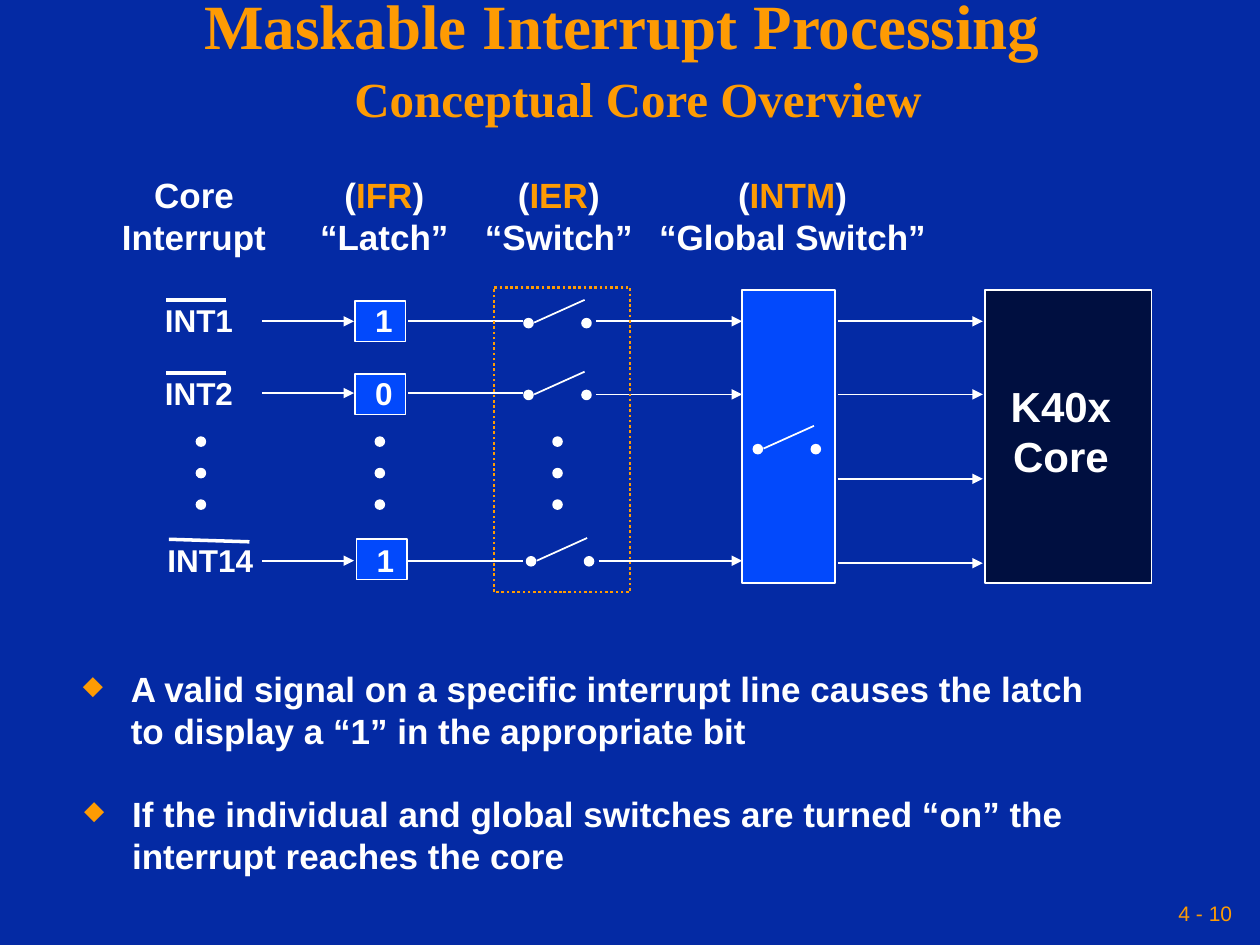
from dataclasses import dataclass
from lxml.etree import SubElement
from pptx import Presentation
from pptx.dml.color import RGBColor
from pptx.enum.dml import MSO_LINE
from pptx.enum.shapes import MSO_CONNECTOR, MSO_SHAPE
from pptx.enum.text import MSO_ANCHOR, MSO_AUTO_SIZE, PP_ALIGN
from pptx.oxml.ns import qn
from pptx.util import Inches, Pt


@dataclass(frozen=True)
class Theme:
    """Colours, fonts and type sizes of the slide."""
    back: str = "042AA4"
    orange: str = "FE9B03"
    white: str = "FFFFFF"
    blue: str = "0249FC"
    navy: str = "000F40"
    sans: str = "Arial"
    serif: str = "Times New Roman"
    title: int = 36
    subtitle: int = 28
    core: int = 24
    body: int = 20
    label: int = 18
    footer: int = 12


T = Theme()
DOT = 0.07


def rgb(value):
    """Turn a hex string into a colour."""
    return RGBColor.from_string(value)


def add_run(p, text, size, color=T.white, font=T.sans, bold=True):
    """Add one formatted run to a paragraph."""
    r = p.add_run()
    r.text = text
    r.font.size, r.font.name, r.font.bold = Pt(size), font, bold
    r.font.color.rgb = rgb(color)


def add_break(p, size):
    """Add a line break of a given type size."""
    p.add_line_break()
    SubElement(p._p[-1], qn("a:rPr"), sz=str(size * 100))


def add_text(s, x, y, w, h, lines, size, align=PP_ALIGN.LEFT, wrap=False, spacing=None):
    """Add a text box; each line is a list of (text, colour) runs."""
    tf = s.shapes.add_textbox(Inches(x), Inches(y), Inches(w), Inches(h)).text_frame
    tf.word_wrap = wrap
    tf.auto_size = MSO_AUTO_SIZE.NONE if wrap else MSO_AUTO_SIZE.SHAPE_TO_FIT_TEXT
    for i, line in enumerate(lines):
        p = tf.add_paragraph() if i else tf.paragraphs[0]
        p.alignment, p.line_spacing = align, spacing
        for text, color in line:
            add_run(p, text, size, color)
    return tf


def add_label(s, x, y, w, text):
    """Add a tightly spaced diagram label."""
    add_text(s, x, y, w, 0.34, [[(text, T.white)]], T.label, spacing=0.8)


def add_box(s, x, y, w, h, fill=None, line=T.white, width=1, kind=MSO_SHAPE.RECTANGLE):
    """Add an outlined shape, hollow when no fill is given."""
    sp = s.shapes.add_shape(kind, Inches(x), Inches(y), Inches(w), Inches(h))
    sp.shadow.inherit = False
    if fill:
        sp.fill.solid()
        sp.fill.fore_color.rgb = rgb(fill)
    else:
        sp.fill.background()
    sp.line.color.rgb, sp.line.width = rgb(line), Pt(width)
    return sp


def add_dot(s, x, y):
    """Add a small white dot."""
    add_box(s, x, y, DOT, DOT, T.white, kind=MSO_SHAPE.OVAL)


def add_line(s, x1, y1, x2, y2, width=1, arrow=False):
    """Add a white line with an optional arrowhead at its end."""
    c = s.shapes.add_connector(MSO_CONNECTOR.STRAIGHT, Inches(x1), Inches(y1), Inches(x2), Inches(y2))
    c.line.color.rgb, c.line.width = rgb(T.white), Pt(width)
    if arrow:
        SubElement(c.line._get_or_add_ln(), qn("a:tailEnd"), type="triangle")
    SubElement(c._element.spPr, qn("a:effectLst"))


def add_switch(s, x, y):
    """Add an open switch whose left contact is at x, y."""
    add_line(s, x + 0.08, y + 0.03, x + 0.48, y - 0.15)
    add_dot(s, x, y)
    add_dot(s, x + 0.46, y)


def add_bullet(s, x, y, w, lines, wrap):
    """Add a diamond bullet with its lines of text."""
    tf = add_text(s, x, y, w, 0.76, [[]], T.body, wrap=wrap)
    p = tf.paragraphs[0]
    pPr = p._p.get_or_add_pPr()
    pPr.set("marL", str(Inches(0.38)))
    pPr.set("indent", str(Inches(-0.38)))
    SubElement(SubElement(pPr, qn("a:buClr")), qn("a:srgbClr"), val=T.orange)
    SubElement(pPr, qn("a:buSzPct"), val="75000")
    SubElement(pPr, qn("a:buChar"), char="◆")
    for i, line in enumerate(lines):
        if i:
            add_break(p, T.body)
        add_run(p, line, T.body)


def add_title(s):
    """Place and fill the title placeholder."""
    sp = s.shapes.title
    sp.left, sp.top, sp.width, sp.height = 0, 0, Inches(10), Inches(1)
    tf = sp.text_frame
    tf.auto_size, tf.vertical_anchor = MSO_AUTO_SIZE.NONE, MSO_ANCHOR.MIDDLE
    p = tf.paragraphs[0]
    p.alignment, p.line_spacing = PP_ALIGN.CENTER, 0.9
    add_run(p, "Maskable Interrupt Processing ", T.title, T.orange, T.serif)
    add_break(p, T.title)
    add_run(p, " ", T.title, T.orange, T.serif)
    add_run(p, "Conceptual Core Overview", T.subtitle, T.orange, T.serif)


def add_headings(s):
    """Add the column headings."""
    headings = [(0.87, 1.34, None, "Core", "Interrupt"), (2.44, 1.22, "IFR", "", "“Latch”"),
                (3.75, 1.37, "IER", "", "“Switch”"), (5.13, 2.32, "INTM", "", "“Global Switch”")]
    for x, w, register, plain, name in headings:
        first = [("(", T.white), (register, T.orange), (")", T.white)] if register else [(plain, T.white)]
        tf = add_text(s, x, 1.33, w, 0.76, [first, [(name, T.white)]], T.body, PP_ALIGN.CENTER)
        tf.margin_left = tf.margin_right = Inches(0.05)


def add_interrupt(s, name, bit, y, dx, label_y, box_y, bar, switch_y, out_y):
    """Add one interrupt line from its label to the global switch."""
    add_label(s, 1.21 + dx, label_y, 0.88 if dx else 0.74, name)
    add_line(s, *bar, width=2)
    add_box(s, 2.82 + dx / 2, box_y, 0.4, 0.32, T.blue)
    add_label(s, 2.88 + dx / 2, label_y, 0.34, bit)
    add_line(s, 2.08, y, 2.81, y, arrow=True)
    add_line(s, 3.24, y, 4.15, y)
    add_switch(s, 4.16 + dx, switch_y)
    add_line(s, 4.73 + dx, out_y, 5.89, out_y, arrow=True)


def add_diagram(s):
    """Add the signal path from the interrupts to the core."""
    add_box(s, 7.82, 2.3, 1.32, 2.33, T.navy)
    add_text(s, 7.92, 2.97, 1, 0.9, [[("K40x", T.white)], [("Core", T.white)]], T.core, PP_ALIGN.CENTER)
    add_box(s, 5.89, 2.3, 0.74, 2.33, T.blue)
    add_switch(s, 5.98, 3.53)
    for y in (2.55, 3.13, 3.8, 4.47):
        add_line(s, 6.65, y, 7.8, y, arrow=True)
    add_interrupt(s, "INT1", "1", 2.55, 0, 2.4, 2.39, (1.32, 2.38, 1.79, 2.38), 2.53, 2.55)
    add_interrupt(s, "INT2", "0", 3.12, 0, 2.98, 2.97, (1.32, 2.96, 1.79, 2.96), 3.1, 3.13)
    add_interrupt(s, "INT14", "1", 4.45, 0.02, 4.3, 4.28, (1.34, 4.28, 1.98, 4.3), 4.42, 4.45)
    for x in (1.56, 2.98, 4.39):
        for i in range(3):
            add_dot(s, x, 3.47 + 0.25 * i)
    add_box(s, 3.92, 2.28, 1.08, 2.42, line=T.orange, width=1.5).line.dash_style = MSO_LINE.ROUND_DOT


def add_page_number(s):
    """Add the page number at the lower right."""
    tf = add_text(s, 6.83, 7.08, 3, 0.33, [[]], T.footer, PP_ALIGN.RIGHT, wrap=True)
    tf.margin_left = tf.margin_right = Inches(0.05)
    tf.vertical_anchor = MSO_ANCHOR.MIDDLE
    add_run(tf.paragraphs[0], "4 - 10", T.footer, T.orange, bold=False)


def main():
    """Build and save the slide."""
    prs = Presentation()
    prs.slide_width, prs.slide_height = Inches(10), Inches(7.5)
    s = prs.slides.add_slide(prs.slide_layouts[5])
    s.background.fill.solid()
    s.background.fill.fore_color.rgb = rgb(T.back)
    add_title(s)
    add_headings(s)
    add_diagram(s)
    add_bullet(s, 0.56, 5.25, 8.23, ["A valid signal on a specific interrupt line causes the latch ",
                                     "to display a “1” in the appropriate bit"], wrap=False)
    add_bullet(s, 0.57, 6.24, 8.68, ["If the individual and global switches are turned “on” the "
                                     "interrupt reaches the core"], wrap=True)
    add_page_number(s)
    prs.save("out.pptx")


if __name__ == "__main__":
    main()
